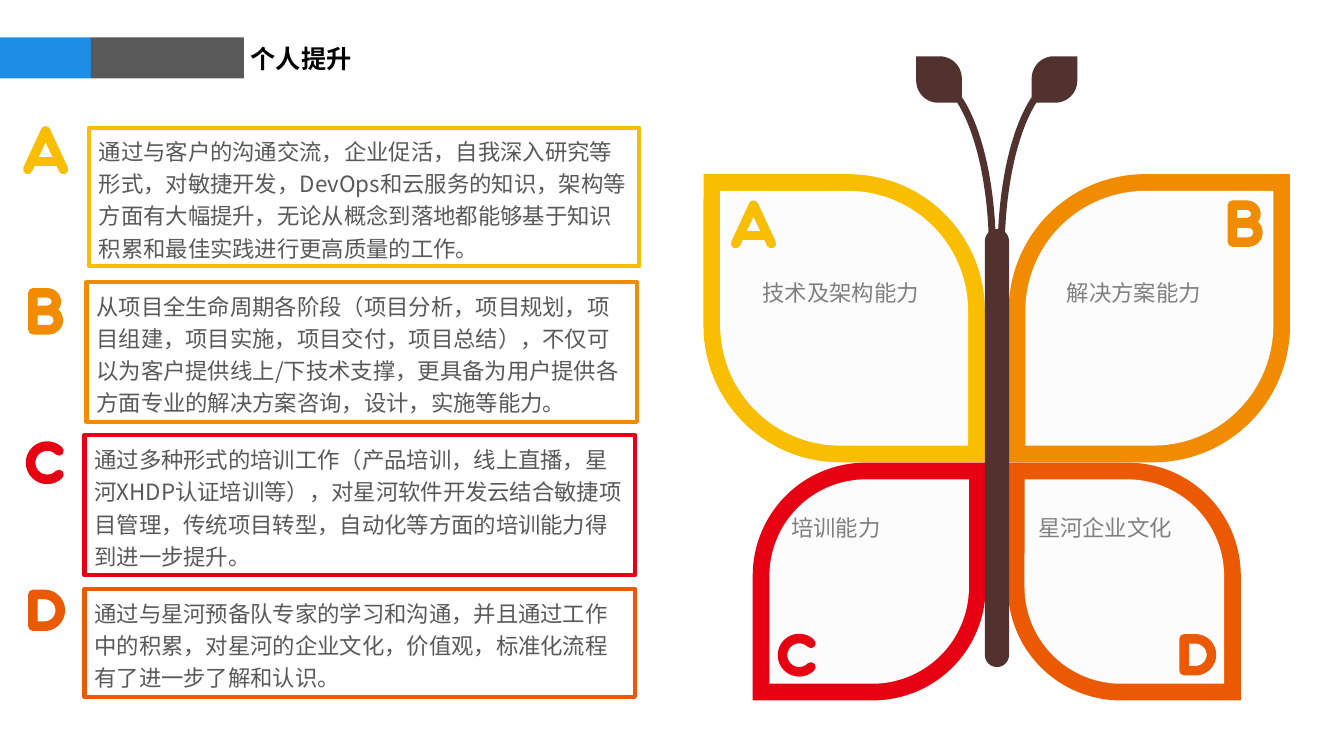
import math

from pptx import Presentation, util as u
from pptx.dml.color import RGBColor
from pptx.enum import shapes, text
from pptx.oxml.ns import qn

COLORS = {
    "yellow": "FABE00", "orange": "F18B00", "red": "E60012", "rust": "EB5902",
    "blue": "1D8DE5", "gray": "595959", "label": "808080", "black": "000000",
    "brown": "51322F", "pale": "FCFCFD",
}

# Lengths in cm
TITLE = ("个人提升", (6.07, 0.97, 3.07, 1.02))
BARS = [("blue", 0, 2.29), ("gray", 2.29, 3.86)]
BAR_TOP, BAR_HEIGHT = 0.94, 1.04
BOX_WIDTH, FIRST_TOP, BOX_STEP = 13.87, 3.23, 3.87
TOPICS = [  # letter, color, letter place, box left, box height, text
    ("A", "yellow", (0.58, 3.18), 2.24, 3.48,
     "通过与客户的沟通交流，企业促活，自我深入研究等形式，对敏捷开发，DevOps和云服务的知识，"
     "架构等方面有大幅提升，无论从概念到落地都能够基于知识积累和最佳实践进行更高质量的工作。"),
    ("B", "orange", (0.71, 7.26), 2.18, 3.53,
     "从项目全生命周期各阶段（项目分析，项目规划，项目组建，项目实施，项目交付，项目总结），"
     "不仅可以为客户提供线上/下技术支撑，更具备为用户提供各方面专业的解决方案咨询，设计，实施等能力。"),
    ("C", "red", (0.66, 11.13), 2.13, 3.53,
     "通过多种形式的培训工作（产品培训，线上直播，星河XHDP认证培训等），对星河软件开发云结合"
     "敏捷项目管理，传统项目转型，自动化等方面的培训能力得到进一步提升。"),
    ("D", "rust", (0.71, 14.86), 2.13, 2.72,
     "通过与星河预备队专家的学习和沟通，并且通过工作中的积累，对星河的企业文化，价值观，"
     "标准化流程有了进一步了解和认识。"),
]
AXIS = 25.12
RIM = 0.42
ROUNDING = 0.485
UPPER_WING = (17.73, 4.39, 7.09, 7.26)
LOWER_WING = (18.97, 11.66, 5.87, 5.99)
LEAF = (23.09, 1.42, 1.15, 1.17)
BODY = (24.82, 5.77, 0.61, 11.04)
WINGS = [  # letter, color, letter place, wing, on the right, label, label place
    ("A", "yellow", (18.42, 5.05), UPPER_WING, False, "技术及架构能力", (18.97, 6.91, 4.5)),
    ("B", "orange", (30.94, 5.05), UPPER_WING, True, "解决方案能力", (26.64, 6.91, 3.94)),
    ("C", "red", (19.61, 15.98), LOWER_WING, False, "培训能力", (19.69, 12.83, 2.79)),
    ("D", "rust", (29.72, 15.98), LOWER_WING, True, "星河企业文化", (25.91, 12.83, 3.94)),
]
LABEL_HEIGHT = 0.94

# Pen strokes in mm: (x, y) is a point,
# (centre x, centre y, radius x, radius y, start, end) an arc in degrees
LETTERS = {
    "A": [[(1.2, 10.9), (5.7, 1.2), (10.2, 10.9)], [(2.5, 8.9), (8.9, 8.9)]],
    "B": [[(1.2, 10.5), (1.2, 1.2), (4.7, 3.4, 2.4, 2.2, -90, 90), (1.2, 5.7),
           (5.2, 8.1, 2.4, 2.4, -90, 90), (1.2, 10.5)]],
    "C": [[(5.3, 5.3, 4.2, 4.2, -45, -315)]],
    "D": [[(1.2, 9.2), (1.2, 1.2), (4.1, 5.2, 4.0, 4.0, -90, 90), (1.2, 9.2)]],
}
LETTER_PEN = 6.8
STEM = [[(2.7, 49.3, 16.5, 44.2, -60, 0)]]
STEM_PEN = 5


def rgb(color):
    return RGBColor.from_string(COLORS[color])


def paint(shape, fill=None, line=None, width=3):
    shape.shadow.inherit = False
    if fill:
        shape.fill.solid()
        shape.fill.fore_color.rgb = rgb(fill)
    else:
        shape.fill.background()
    if line:
        shape.line.color.rgb = rgb(line)
        shape.line.width = u.Pt(width)
    else:
        shape.line.fill.background()


def add_preset(slide, kind, place, fill=None, line=None, adjustments=()):
    shape = slide.shapes.add_shape(kind, *map(u.Cm, place))
    for index, value in enumerate(adjustments):
        shape.adjustments[index] = value
    paint(shape, fill, line)
    return shape


def write(shape, words, font, size, color, bold=False, wrap=False, spacing=None):
    frame = shape.text_frame
    settings = {"word_wrap": wrap, "vertical_anchor": text.MSO_ANCHOR.MIDDLE}
    for name, value in settings.items():
        setattr(frame, name, value)
    paragraph = frame.paragraphs[0]
    paragraph.alignment = text.PP_ALIGN.LEFT
    paragraph.line_spacing = spacing
    run = paragraph.add_run()
    run.text = words
    for name, value in {"name": font, "size": u.Pt(size), "bold": bold}.items():
        setattr(run.font, name, value)
    run.font.color.rgb = rgb(color)
    properties = run._r.get_or_add_rPr()
    east_asian = properties.makeelement(qn("a:ea"), {"typeface": font})
    properties.find(qn("a:latin")).addnext(east_asian)


def trace(stroke, steps=24):
    """Turn the points and arcs of a stroke into points."""
    points = []
    for part in stroke:
        if len(part) == 2:
            points.append(part)
            continue
        x, y, radius_x, radius_y, start, end = part
        for step in range(steps + 1):
            angle = math.radians(start + (end - start) * step / steps)
            points.append((x + radius_x * math.cos(angle), y + radius_y * math.sin(angle)))
    return points


def draw_strokes(slide, strokes, left, top, color, pen, flip=1):
    """Draw strokes with a round pen; flip -1 mirrors them about their left edge."""
    grain = 100  # the builder rounds coordinates to whole numbers
    for stroke in strokes:
        points = [(flip * x * grain, y * grain) for x, y in trace(stroke)]
        builder = slide.shapes.build_freeform(*points[0], scale=u.Cm(0.1) / grain)
        builder.add_line_segments(points[1:], close=points[0] == points[-1])
        shape = builder.convert_to_shape(u.Cm(left), u.Cm(top))
        paint(shape, line=color, width=pen)
        line = shape.line._get_or_add_ln()
        line.set("cap", "rnd")
        line.append(line.makeelement(qn("a:round"), {}))


def add_petal(slide, place, color, right, sharp_top, inset=0):
    """Add a leaf with two round corners, mirrored about the axis if on the right."""
    left, top, width, height = place
    if right:
        left = 2 * AXIS - left - width
    place = (left + inset, top + inset, width - 2 * inset, height - 2 * inset)
    adjustments = (0, ROUNDING) if sharp_top != right else (ROUNDING, 0)
    kind = shapes.MSO_SHAPE.ROUND_2_DIAG_RECTANGLE
    add_preset(slide, kind, place, color, adjustments=adjustments)


def add_label(slide, words, place, *style, **options):
    write(slide.shapes.add_textbox(*map(u.Cm, place)), words, *style, **options)


def main():
    presentation = Presentation()
    presentation.slide_width, presentation.slide_height = u.Cm(33.87), u.Cm(19.05)
    slide = presentation.slides.add_slide(presentation.slide_layouts[6])
    rectangle = shapes.MSO_SHAPE.RECTANGLE

    for color, left, width in BARS:
        add_preset(slide, rectangle, (left, BAR_TOP, width, BAR_HEIGHT), color)
    add_label(slide, *TITLE, "Arial", 18, "black", bold=True)

    for row, (letter, color, spot, left, height, words) in enumerate(TOPICS):
        place = (left, FIRST_TOP + row * BOX_STEP, BOX_WIDTH, height)
        box = add_preset(slide, rectangle, place, line=color)
        write(box, words, "Noto Sans CJK SC", 16, "gray", wrap=True, spacing=1.2)
        draw_strokes(slide, LETTERS[letter], *spot, color, LETTER_PEN)

    for letter, color, spot, wing, right, label, place in WINGS:
        sharp_top = wing is UPPER_WING
        add_petal(slide, wing, color, right, sharp_top)
        add_petal(slide, wing, "pale", right, sharp_top, RIM)
        draw_strokes(slide, LETTERS[letter], *spot, color, LETTER_PEN)
        add_label(slide, label, (*place, LABEL_HEIGHT), "Noto Sans Mono", 16, "label")

    for right in (False, True):
        left = 2 * AXIS - LEAF[0] if right else LEAF[0]
        draw_strokes(slide, STEM, left, LEAF[1], "brown", STEM_PEN, -1 if right else 1)
        add_petal(slide, LEAF, "brown", right, True)
    add_preset(slide, shapes.MSO_SHAPE.ROUNDED_RECTANGLE, BODY, "brown", adjustments=(0.5,))

    presentation.save("out.pptx")


if __name__ == "__main__":
    main()
